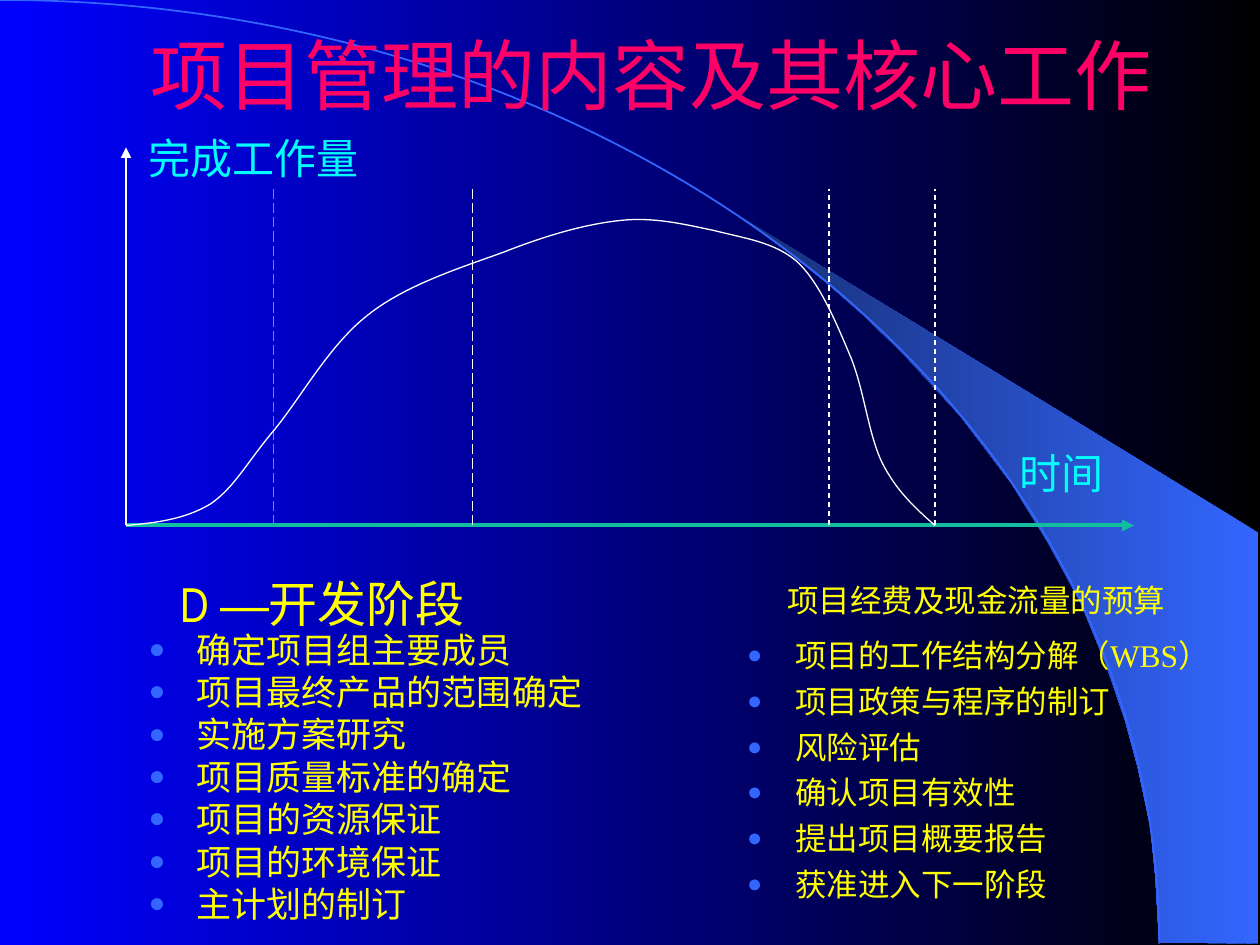
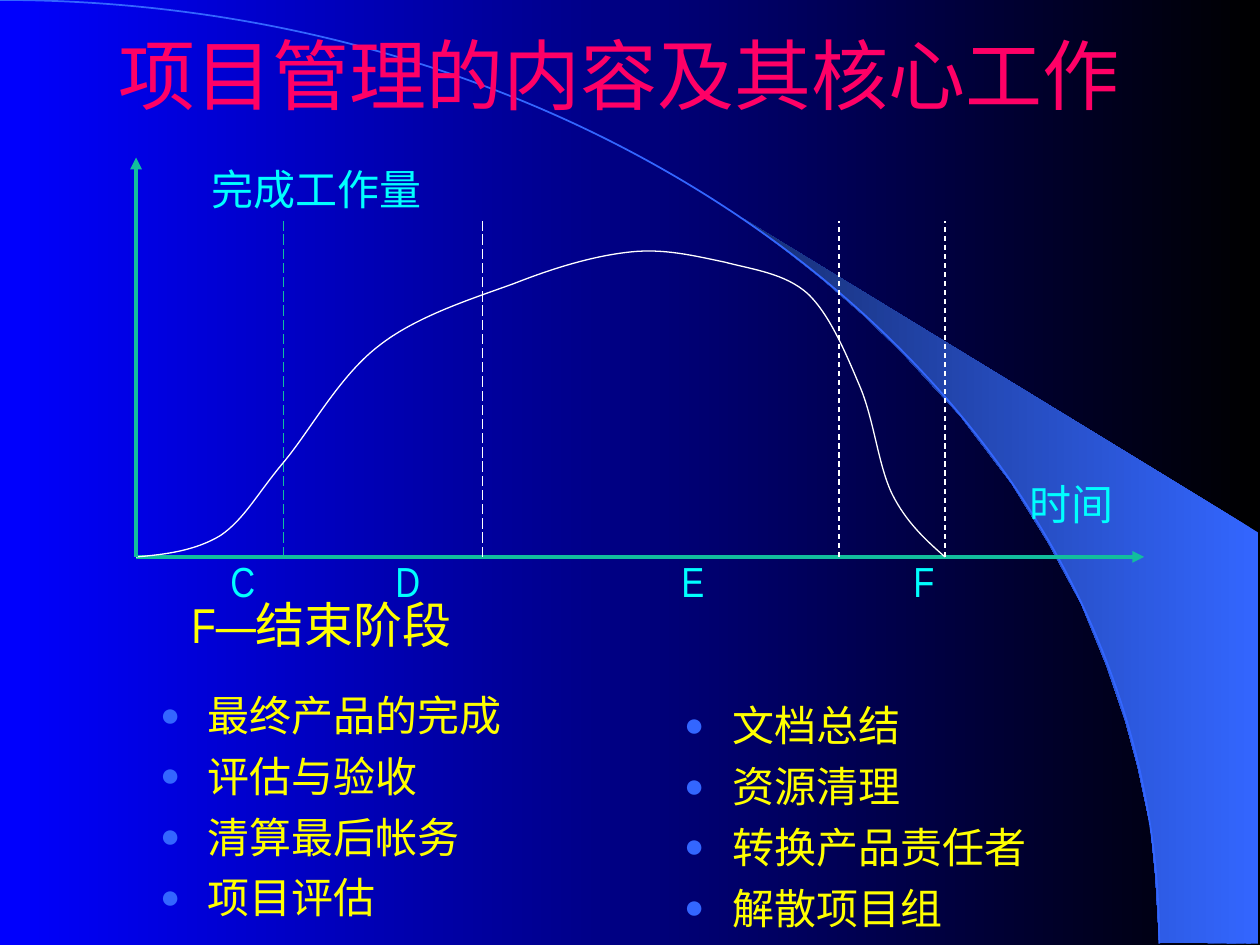
from lxml import etree
from pptx import Presentation
from pptx.dml.color import RGBColor
from pptx.enum.dml import MSO_LINE
from pptx.enum.shapes import MSO_CONNECTOR
from pptx.enum.text import MSO_ANCHOR, MSO_AUTO_SIZE, PP_ALIGN
from pptx.oxml.ns import qn
from pptx.util import Inches, Pt

STRAIGHT = MSO_CONNECTOR.STRAIGHT
DASH, LONG_DASH = MSO_LINE.DASH, MSO_LINE.LONG_DASH
CENTER, MIDDLE = PP_ALIGN.CENTER, MSO_ANCHOR.MIDDLE
NO_AUTOFIT, GROW = MSO_AUTO_SIZE.NONE, MSO_AUTO_SIZE.SHAPE_TO_FIT_TEXT

PINK, YELLOW, CYAN, WHITE = "FF0066", "FFFF00", "00FFFF", "FFFFFF"
GREEN, BLUE, NAVY = "12BE9D", "3366FF", "172F75"
SANS, NARROW, SERIF = "Arial", "Arial Narrow", "Times New Roman"
TITLE = "项目管理的内容及其核心工作"
TWO_CONTENT = 3

# Workload curve, relative to the chart origin: one
# (control, control, end) for each segment.
WORKLOAD = [
    ((0.24, -0.02), (0.47, -0.05), (0.67, -0.17)),
    ((0.86, -0.3), (0.96, -0.5), (1.17, -0.75)),
    ((1.38, -1), (1.61, -1.43), (1.92, -1.67)),
    ((2.22, -1.91), (2.67, -2.05), (3, -2.17)),
    ((3.33, -2.3), (3.64, -2.39), (3.92, -2.42)),
    ((4.19, -2.45), (4.43, -2.39), (4.67, -2.34)),
    ((4.9, -2.28), (5.15, -2.25), (5.33, -2.09)),
    ((5.51, -1.92), (5.64, -1.6), (5.75, -1.34)),
    ((5.86, -1.07), (5.89, -0.73), (6, -0.5)),
    ((6.11, -0.28), (6.26, -0.14), (6.42, 0)),
]
PHASE_ENDS = [
    (1.17, GREEN, LONG_DASH),
    (2.75, WHITE, LONG_DASH),
    (5.58, WHITE, DASH),
    (6.42, WHITE, DASH),
]
RIM = [((5.08, 0), (9.2, 3.35), (9.2, 7.49))]
BEAM = [
    (9.2, 7.48), (9.99, 7.49), (9.99, 4.23), (5.89, 1.73), (6.24, 1.99),
    (6.53, 2.22), (6.85, 2.5), (7.16, 2.8), (7.62, 3.3), (8.03, 3.84),
    (8.32, 4.31), (8.58, 4.79), (8.78, 5.28), (8.93, 5.72), (9.03, 6.09),
    (9.13, 6.56), (9.17, 6.96), (9.2, 7.48),
]


def rgb(color):
    return RGBColor.from_string(color)


def gradient(fill, right, left):
    fill.gradient()
    fill.gradient_angle = 180
    for stop, color in zip(fill.gradient_stops, (right, left)):
        stop.color.rgb = rgb(color)


def add_bullet(paragraph):
    props = paragraph._p.get_or_add_pPr()
    props.set("marL", str(Inches(0.38)))
    props.set("indent", str(-Inches(0.38)))
    color = etree.SubElement(props, qn("a:buClr"))
    etree.SubElement(color, qn("a:srgbClr"), val=BLUE)
    etree.SubElement(props, qn("a:buSzPct"), val="80000")
    etree.SubElement(props, qn("a:buFont"), typeface=SANS)
    etree.SubElement(props, qn("a:buChar"), char="●")


def add_tabs(paragraph, stops):
    tabs = etree.SubElement(paragraph._p.get_or_add_pPr(), qn("a:tabLst"))
    for stop in stops:
        etree.SubElement(tabs, qn("a:tab"), pos=str(Inches(stop)), algn="l")


class Deck:
    def __init__(self):
        self.prs = Presentation()
        self.prs.slide_width, self.prs.slide_height = Inches(10), Inches(7.5)
        self.slide = None

    def new_slide(self, left, top, width, height):
        """Start a slide whose title fills the given frame."""
        layout = self.prs.slide_layouts[TWO_CONTENT]
        self.slide = self.prs.slides.add_slide(layout)
        title = self.slide.shapes.title
        self.place(title, left, top, width, height)
        frame = title.text_frame
        frame.text = TITLE
        frame.auto_size = NO_AUTOFIT
        frame.vertical_anchor = MIDDLE
        frame.paragraphs[0].alignment = CENTER
        self.style(frame.paragraphs[0], 44, SANS, PINK)

    def place(self, shape, left, top, width, height):
        shape.left, shape.top = Inches(left), Inches(top)
        shape.width, shape.height = Inches(width), Inches(height)

    def style(self, paragraph, size, font, color):
        for run in paragraph.runs:
            run.font.size = Pt(size)
            run.font.name = font
            run.font.color.rgb = rgb(color)

    def tasks(self, column, box, items, size, spacing=1.0):
        """Fill the left (1) or right (2) list placeholder."""
        body = self.slide.placeholders[column]
        self.place(body, *box)
        frame = body.text_frame
        frame.text = "\n".join(items)
        frame.auto_size = NO_AUTOFIT
        for i, paragraph in enumerate(frame.paragraphs):
            add_bullet(paragraph)
            paragraph.line_spacing = spacing
            paragraph.space_before = Pt(size / 4 if i else 0)
            self.style(paragraph, size, SERIF, YELLOW)

    def label(self, text, left, top, width, size, font, color, wrap=True):
        height = 0.1 + size / 60
        box = self.slide.shapes.add_textbox(
            Inches(left), Inches(top), Inches(width), Inches(height))
        box.text_frame.word_wrap = wrap
        box.text_frame.auto_size = GROW
        paragraph = box.text_frame.paragraphs[0]
        paragraph.text = text
        self.style(paragraph, size, font, color)
        return paragraph

    def line(self, start, end, color, width, dash=None, arrow=False):
        connector = self.slide.shapes.add_connector(
            STRAIGHT, *(Inches(v) for v in (*start, *end)))
        connector.line.color.rgb = rgb(color)
        connector.line.width = Pt(width)
        if dash:
            connector.line.dash_style = dash
        props = connector.element.spPr
        if arrow:
            etree.SubElement(props.find(qn("a:ln")), qn("a:tailEnd"),
                             type="triangle")
        etree.SubElement(props, qn("a:effectLst"))

    def outline(self, points):
        first, *rest = [(Inches(x), Inches(y)) for x, y in points]
        builder = self.slide.shapes.build_freeform(*first)
        builder.add_line_segments(rest, close=False)
        shape = builder.convert_to_shape()
        shape.shadow.inherit = False
        return shape

    def curve(self, origin, segments, frame, color, width):
        """Draw cubic segments, given from origin, inside a frame."""
        shape = self.outline([origin, *(origin for _ in segments)])
        self.place(shape, *frame)
        path = next(shape.element.iter(qn("a:path")))
        path.set("w", str(shape.width))
        path.set("h", str(shape.height))
        start, *steps = path
        for step, points in zip(steps, segments):
            step.tag = qn("a:cubicBezTo")
            step.clear()
            for _ in points:
                etree.SubElement(step, qn("a:pt"))
        offsets = [(0, 0)] + [p for segment in segments for p in segment]
        for point, (dx, dy) in zip(path.iter(qn("a:pt")), offsets):
            point.set("x", str(Inches(origin[0] + dx) - shape.left))
            point.set("y", str(Inches(origin[1] + dy) - shape.top))
        shape.fill.background()
        shape.line.color.rgb = rgb(color)
        shape.line.width = Pt(width)
        return shape

    def workload_chart(self, x, y, axis_height, axis_color, axis_width):
        """Draw axes, phase limits and workload curve from origin x, y."""
        self.line((x, y), (x + 8, y), GREEN, 2.25, arrow=True)
        for end, color, dash in PHASE_ENDS:
            self.line((x + end, y), (x + end, y - 2.67), color, 0.75, dash)
        self.label("时间", x + 6.99, y - 0.67, 1.02, 24, NARROW, CYAN)
        self.curve((x, y), WORKLOAD, (x, y - 2.45, 6.42, 2.45), WHITE, 0.75)
        self.line((x, y), (x, y - axis_height), axis_color, axis_width,
                  arrow=True)

    def master_backdrop(self):
        """Give the master its gradient, rim and light beam."""
        master = self.prs.slide_master
        gradient(master.background.fill, "000000", "0000FF")
        beam = self.outline(BEAM)
        gradient(beam.fill, BLUE, NAVY)
        beam.line.fill.background()
        rim = self.curve((0, 0), RIM, (-9.2, 0, 18.4, 14.97), BLUE, 1)
        for position, shape in enumerate((beam, rim), start=2):
            master.shapes.element.insert(position, shape.element)


def development_slide(deck):
    deck.new_slide(0.67, -0.25, 9, 1.67)
    deck.tasks(1, (1.08, 5, 4.58, 2.5), [
        "确定项目组主要成员", "项目最终产品的范围确定", "实施方案研究",
        "项目质量标准的确定", "项目的资源保证", "项目的环境保证",
        "主计划的制订"], 20, 0.8)
    deck.tasks(2, (5.83, 5, 4.17, 2.5), [
        "项目的工作结构分解（WBS）", "项目政策与程序的制订", "风险评估",
        "确认项目有效性", "提出项目概要报告", "获准进入下一阶段"], 18)
    budget = deck.label("项目经费及现金流量的预算", 5.87, 4.6, 3.48,
                        18, SANS, YELLOW, wrap=False)
    budget.line_spacing = 0.9
    budget._p.get_or_add_pPr().set("marL", str(Inches(0.28)))
    heading = deck.label("D ", 1.33, 4.5, 2.6, 28, NARROW, YELLOW)
    heading.add_run().text = "—开发阶段"
    deck.style(heading, 28, SANS, YELLOW)
    heading.runs[0].font.name = NARROW
    deck.workload_chart(1, 4.17, 3, WHITE, 0.75)
    deck.label("完成工作量", 1.08, 1, 2, 24, SERIF, CYAN)


def closing_slide(deck):
    deck.new_slide(0.33, 0, 9.17, 1.17)
    deck.tasks(1, (1.17, 5.42, 4.17, 2.33), [
        "最终产品的完成", "评估与验收", "清算最后帐务", "项目评估"], 24)
    deck.tasks(2, (5.33, 5.5, 4.17, 2.25), [
        "文档总结", "资源清理", "转换产品责任者", "解散项目组"], 24)
    deck.label("F—结束阶段", 1.42, 4.67, 3.1, 28, NARROW, YELLOW)
    phases = deck.label("C\tD\tE\tF", 1.73, 4.36, 7.35, 24, NARROW, CYAN)
    add_tabs(phases, (1.31, 3.58, 5.42))
    deck.workload_chart(1.08, 4.42, 3.17, GREEN, 2.25)
    deck.label("完成工作量", 1.58, 1.25, 2, 24, SERIF, CYAN)


def main():
    deck = Deck()
    development_slide(deck)
    closing_slide(deck)
    deck.master_backdrop()
    deck.prs.save("out.pptx")


if __name__ == "__main__":
    main()
